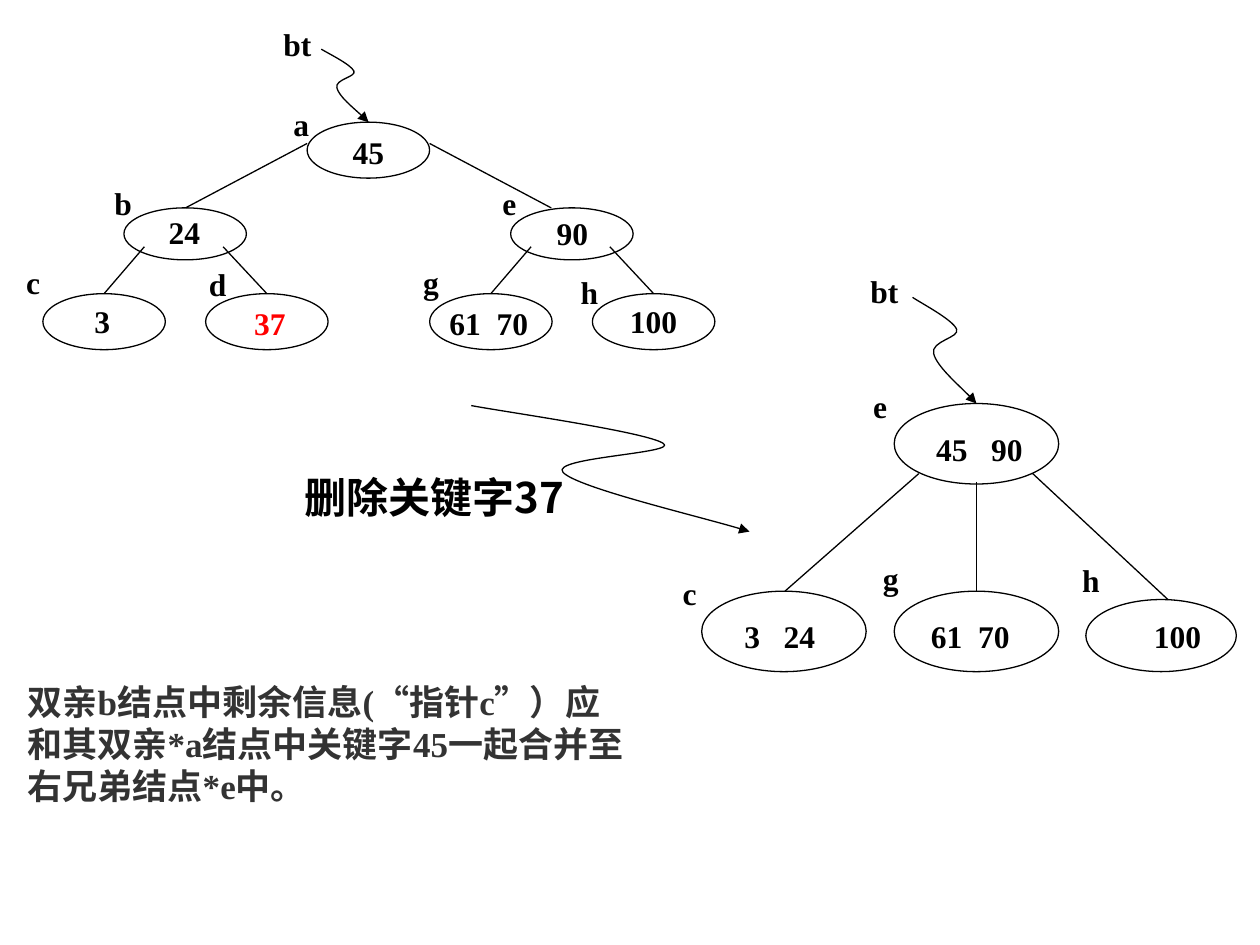
from lxml import etree
from pptx import Presentation
from pptx.dml.color import RGBColor
from pptx.enum import shapes, text
from pptx.oxml import ns
from pptx.util import Pt

SERIF, SANS = "Times New Roman", "Noto Sans CJK SC"

# Control points of the wavy arrow, as shares of its width and height
WAVE = [(0.12, 0.05), (0.63, 0.21), (0.69, 0.3), (0.75, 0.38), (0.28, 0.41),
        (0.33, 0.53), (0.38, 0.65), (0.86, 0.9), (1, 1)]

# Label box widths
WIDE = {"bt": 34.6, "a": 28, "b": 28.8, "c": 26.6, "d": 28.8, "e": 26.6,
        "g": 28, "h": 28.8, "3": 23, "45": 32.4, "24": 36.7, "37": 36.7,
        "90": 36.7, "100": 46, "61  70": 64, "3   24": 54.7, "45   90": 68.4}


def hue(code):
    return RGBColor.from_string(code)


def sub(node, tag, **attrs):
    return etree.SubElement(node, ns.qn(tag), attrs)


class Board:
    def __init__(self, slide, ink="000000", paper="FFFFFF", line=0.75):
        self.slide, self.ink, self.paper, self.line = slide, ink, paper, line
        self.home = slide.shapes

    def group(self):
        self.home = self.slide.shapes.add_group_shape().shapes

    def leave(self):
        self.home = self.slide.shapes

    def stroke(self, shape):
        shape.line.color.rgb = hue(self.ink)
        shape.line.width = Pt(self.line)

    def oval(self, x, y, w, h):
        node = self.home.add_shape(shapes.MSO_SHAPE.OVAL, Pt(x), Pt(y), Pt(w), Pt(h))
        node.shadow.inherit = False
        node.fill.solid()
        node.fill.fore_color.rgb = hue(self.paper)
        self.stroke(node)

    def edge(self, x1, y1, x2, y2):
        link = self.home.add_connector(
            shapes.MSO_CONNECTOR.STRAIGHT, Pt(x1), Pt(y1), Pt(x2), Pt(y2))
        self.stroke(link)
        sub(link._element.spPr, "a:effectLst")

    def wave(self, x, y, w, h):
        pen = self.home.build_freeform(Pt(x), Pt(y))
        pen.add_line_segments([(Pt(x + w * u), Pt(y + h * v)) for u, v in WAVE], close=False)
        curve = pen.convert_to_shape()
        curve.shadow.inherit = False
        curve.fill.background()
        self.stroke(curve)
        # Join each three points into one curve
        track = curve._element.find(".//" + ns.qn("a:path"))
        steps = track.findall(ns.qn("a:lnTo"))
        for i in range(0, len(steps), 3):
            bend = sub(track, "a:cubicBezTo")
            for step in steps[i:i + 3]:
                bend.append(step[0])
                track.remove(step)
        sub(curve._element.spPr.find(ns.qn("a:ln")), "a:tailEnd", type="triangle")

    def words(self, line, x, y, w, h, size=18, font=SERIF, color=None,
              wrap=False, lead=None):
        box = self.home.add_textbox(Pt(x), Pt(y), Pt(w), Pt(h))
        frame = box.text_frame
        frame.text = line
        frame.word_wrap = wrap
        frame.auto_size = text.MSO_AUTO_SIZE.SHAPE_TO_FIT_TEXT
        if not wrap:
            frame.vertical_anchor = text.MSO_ANCHOR.MIDDLE
        para = frame.paragraphs[0]
        if lead:
            para.line_spacing = Pt(lead)
        run = para.runs[0]
        run.font.size, run.font.bold, run.font.name = Pt(size), True, font
        run.font.color.rgb = hue(color or self.ink)
        sub(run._r.get_or_add_rPr(), "a:ea", typeface=SANS)

    def label(self, line, x, y, color=None):
        self.words(line, x, y, WIDE[line], 28.8, color=color)

    def tree(self, ovals, edges, wave, labels):
        self.group()
        for oval in ovals:
            self.oval(*oval)
        for edge in edges:
            self.edge(*edge)
        self.wave(*wave)
        for item in labels:
            self.label(*item)
        self.leave()


def main():
    deck = Presentation()
    deck.slide_width, deck.slide_height = Pt(720), Pt(540)
    board = Board(deck.slides.add_slide(deck.slide_layouts[6]))

    # Tree before the deletion; both subtrees have the same form
    ovals = [(175.5, 69.8, 70, 32)]
    edges = [(175.5, 82, 106, 118.8), (245.5, 82, 315, 118.8)]
    for x in (24.5, 245.5):
        ovals += [(x + 46.3, 118.8, 70, 29.7), (x, 167.8, 70, 32), (x + 93, 167.8, 70, 32)]
        edges += [(x + 58, 141, x + 35, 167.8), (x + 103, 141, x + 128, 167.8)]
    board.tree(ovals, edges, (183.6, 28.1, 27, 41.8), [
        ("bt", 154.8, 10.8), ("a", 160.6, 56.2), ("45", 194.4, 72.7),
        ("b", 58.3, 101.5), ("24", 89.3, 118.1), ("c", 7.9, 146.9),
        ("3", 46.8, 169.2), ("d", 112.3, 147.6), ("37", 138.2, 169.9, "FF0000"),
        ("e", 280, 101.5), ("90", 311, 118.8), ("g", 234.7, 146.9),
        ("61  70", 249.8, 169.9), ("h", 324.7, 152.6), ("100", 352.8, 169.2)])

    # Tree after the deletion
    board.tree(
        [(511, 230.6, 94, 46), (401, 337.8, 94, 46), (511, 337.8, 94, 46),
         (620.5, 342.6, 86, 41.2)],
        [(525, 270.7, 448.6, 337.8), (558, 275.4, 558, 337.8),
         (590.2, 270.7, 667.4, 342.6)],
        (521.5, 169.9, 36.5, 60.7),
        [("bt", 490.3, 151.9), ("e", 491.8, 217.4), ("45   90", 527.8, 241.9),
         ("c", 383, 324.7), ("3   24", 418.3, 349.2), ("g", 497.5, 316.1),
         ("61  70", 524.9, 349.2), ("h", 611.3, 316.8), ("100", 652.3, 349.2)])

    # Step between the trees and its explanation
    board.words("删除关键字37", 167, 265.7, 167.8, 36, size=24, font=SANS,
                wrap=True, lead=29)
    board.wave(269.3, 231.8, 159, 72)
    board.words("双亲b结点中剩余信息(“指针c”）应和其双亲*a结点中关键字45一起合并至右兄弟结点*e中。",
                8.6, 385.2, 360, 79.2, size=20, color="333333", wrap=True, lead=24)

    deck.save("out.pptx")


if __name__ == "__main__":
    main()
